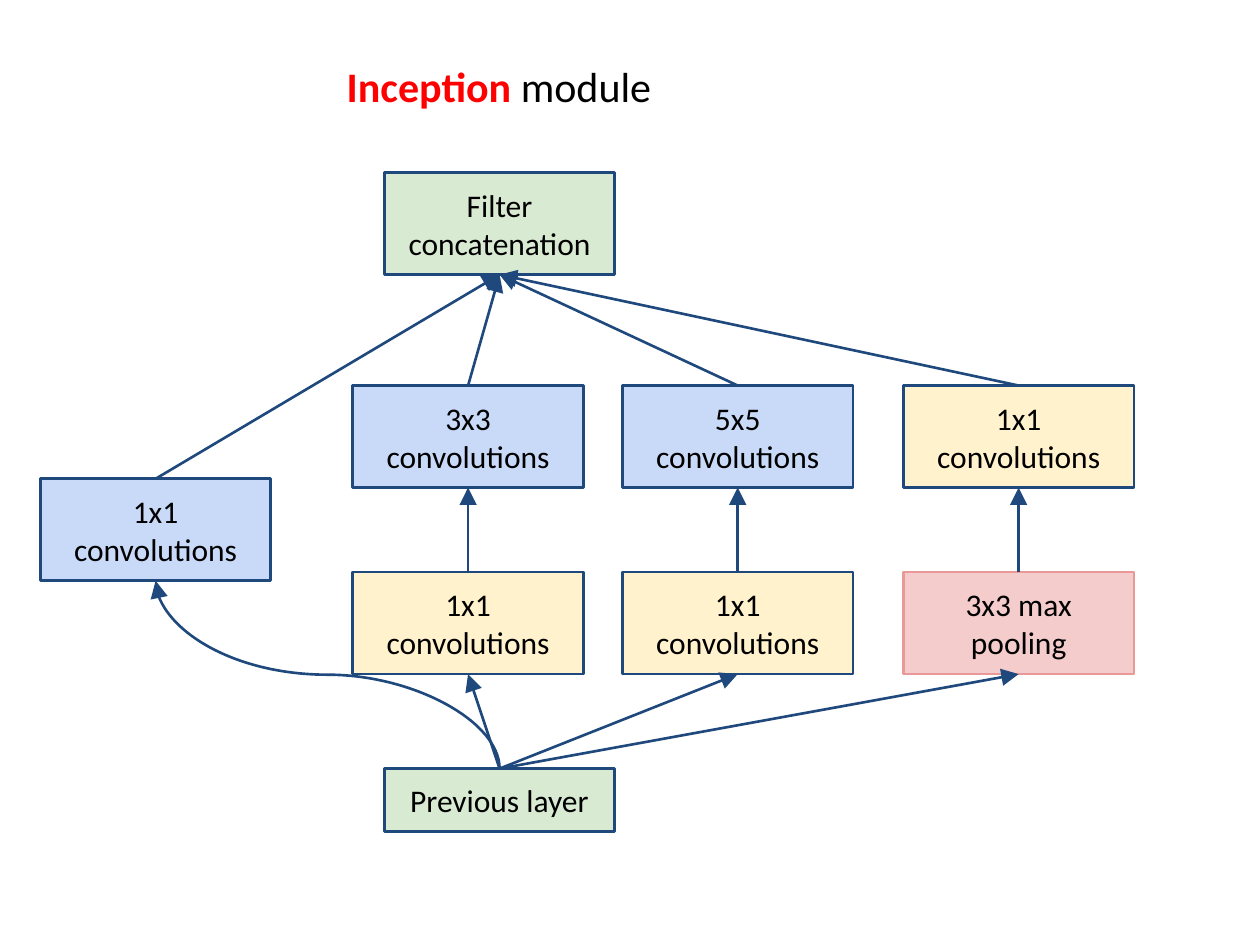
from dataclasses import dataclass

from lxml import etree
from pptx import Presentation
from pptx.dml.color import RGBColor
from pptx.enum.shapes import MSO_CONNECTOR, MSO_SHAPE
from pptx.enum.text import MSO_ANCHOR, PP_ALIGN
from pptx.oxml.ns import qn
from pptx.util import Inches, Pt

RECTANGLE = MSO_SHAPE.RECTANGLE
STRAIGHT = MSO_CONNECTOR.STRAIGHT
CURVE = MSO_CONNECTOR.CURVE
CENTER = PP_ALIGN.CENTER
TOP, MIDDLE = MSO_ANCHOR.TOP, MSO_ANCHOR.MIDDLE
TOP_SIDE, BOTTOM_SIDE = 0, 2
TITLE_ONLY = 5
UNIT = Inches(0.1)
COLUMNS, ROWS = 100, 75
QUARTER_TURN_BACK = "16200000"


@dataclass(frozen=True)
class Theme:
    """Colours and type sizes of the slide."""

    font: str = "Calibri"
    title_size: int = 24
    node_size: int = 18
    line_width: float = 1.5
    ink: str = "000000"
    accent: str = "FF0000"
    line: str = "1F497D"
    convolution: str = "C9DAF8"
    reduction: str = "FFF2CC"
    hub: str = "D9EAD3"
    pooling: str = "F4CCCC"
    pooling_line: str = "EA9999"


THEME = Theme()


def color(code):
    """Turn a hex code into a colour."""
    return RGBColor.from_string(code)


def grid(count):
    """Turn grid columns or rows into a length."""
    return round(count * UNIT)


def format_span(span, size, ink=THEME.ink, bold=False):
    """Give a run its font, size and colour."""
    span.font.name = THEME.font
    span.font.size = Pt(size)
    span.font.bold = bold
    span.font.color.rgb = color(ink)


def prepare_frame(frame, anchor):
    """Set even margins, wrapping and centred text."""
    frame.word_wrap = True
    frame.vertical_anchor = anchor
    frame.margin_left = frame.margin_right = UNIT
    frame.margin_top = frame.margin_bottom = UNIT
    frame.paragraphs[0].alignment = CENTER


def place_title(page, box):
    """Move the title placeholder into the box and write the two-tone title."""
    title = page.shapes.title
    title.left, title.top, title.width, title.height = map(grid, box)
    frame = title.text_frame
    prepare_frame(frame, TOP)
    para = frame.paragraphs[0]
    para.text = "Inception"
    format_span(para.runs[0], THEME.title_size, THEME.accent, True)
    span = para.add_run()
    span.text = " module"
    format_span(span, THEME.title_size)


def add_node(page, box, text, fill, line=THEME.line):
    """Draw one labelled layer."""
    node = page.shapes.add_shape(RECTANGLE, *map(grid, box))
    node.shadow.inherit = False
    node.fill.solid()
    node.fill.fore_color.rgb = color(fill)
    node.line.color.rgb = color(line)
    node.line.width = Pt(THEME.line_width)
    node.text_frame.text = text
    prepare_frame(node.text_frame, MIDDLE)
    format_span(node.text_frame.paragraphs[0].runs[0], THEME.node_size)
    return node


def style_arrow(arrow):
    """Colour a connector, remove its shadow and add an arrowhead at its end."""
    arrow.line.color.rgb = color(THEME.line)
    arrow.line.width = Pt(THEME.line_width)
    properties = arrow._element.spPr
    etree.SubElement(properties.find(qn("a:ln")), qn("a:tailEnd"),
                     type="triangle", w="lg", len="lg")
    etree.SubElement(properties, qn("a:effectLst"))


def link_up(page, lower, upper):
    """Join the top of the lower node to the bottom of the upper one."""
    arrow = page.shapes.add_connector(STRAIGHT, 0, 0, 0, 0)
    arrow.begin_connect(lower, TOP_SIDE)
    arrow.end_connect(upper, BOTTOM_SIDE)
    style_arrow(arrow)


def curve_up(page, lower, upper):
    """Draw an S-curve that leaves and arrives vertically, going up and left."""
    start_x, start_y = lower.left + lower.width // 2, lower.top
    end_x, end_y = upper.left + upper.width // 2, upper.top + upper.height
    middle_x, middle_y = (start_x + end_x) // 2, (start_y + end_y) // 2
    half_rise, half_run = (start_y - end_y) // 2, (start_x - end_x) // 2
    arrow = page.shapes.add_connector(
        CURVE, middle_x - half_rise, middle_y + half_run,
        middle_x + half_rise, middle_y - half_run)
    arrow._element.spPr.find(qn("a:xfrm")).set("rot", QUARTER_TURN_BACK)
    style_arrow(arrow)


def place_module(page, box):
    """Draw the branches between the previous layer and the concatenation."""
    left, top, width, height = box
    node_width, node_height, base_height = 18.3, 8.1, 5
    hub_left = left + 27.3
    upper_row, lower_row = top + 16.9, top + 31.7
    last_column = left + width - node_width
    conv = "{} convolutions".format

    concatenation = add_node(page, (hub_left, top, node_width, node_height),
                             "Filter concatenation", THEME.hub)
    previous = add_node(
        page, (hub_left, top + height - base_height, node_width, base_height),
        "Previous layer", THEME.hub)
    single = add_node(
        page, (left, (upper_row + lower_row) / 2, node_width, node_height),
        conv("1x1"), THEME.convolution)
    link_up(page, single, concatenation)
    curve_up(page, previous, single)

    reduce_style = (conv("1x1"), THEME.reduction)
    pool_style = ("3x3 max pooling", THEME.pooling, THEME.pooling_line)
    branches = [
        (left + 24.8, (conv("3x3"), THEME.convolution), reduce_style),
        (left + 46.2, (conv("5x5"), THEME.convolution), reduce_style),
        (last_column, reduce_style, pool_style),
    ]
    for column, upper_style, lower_style in branches:
        upper = add_node(page, (column, upper_row, node_width, node_height),
                         *upper_style)
        lower = add_node(page, (column, lower_row, node_width, node_height),
                         *lower_style)
        link_up(page, previous, lower)
        link_up(page, lower, upper)
        link_up(page, upper, concatenation)


def main():
    """Build and save the slide."""
    deck = Presentation()
    deck.slide_width, deck.slide_height = grid(COLUMNS), grid(ROWS)
    page = deck.slides.add_slide(deck.slide_layouts[TITLE_ONLY])
    place_title(page, (16.1, 3.8, 47, 6.1))
    place_module(page, (3.2, 13.7, 86.8, 52.3))
    deck.save("out.pptx")


if __name__ == "__main__":
    main()
